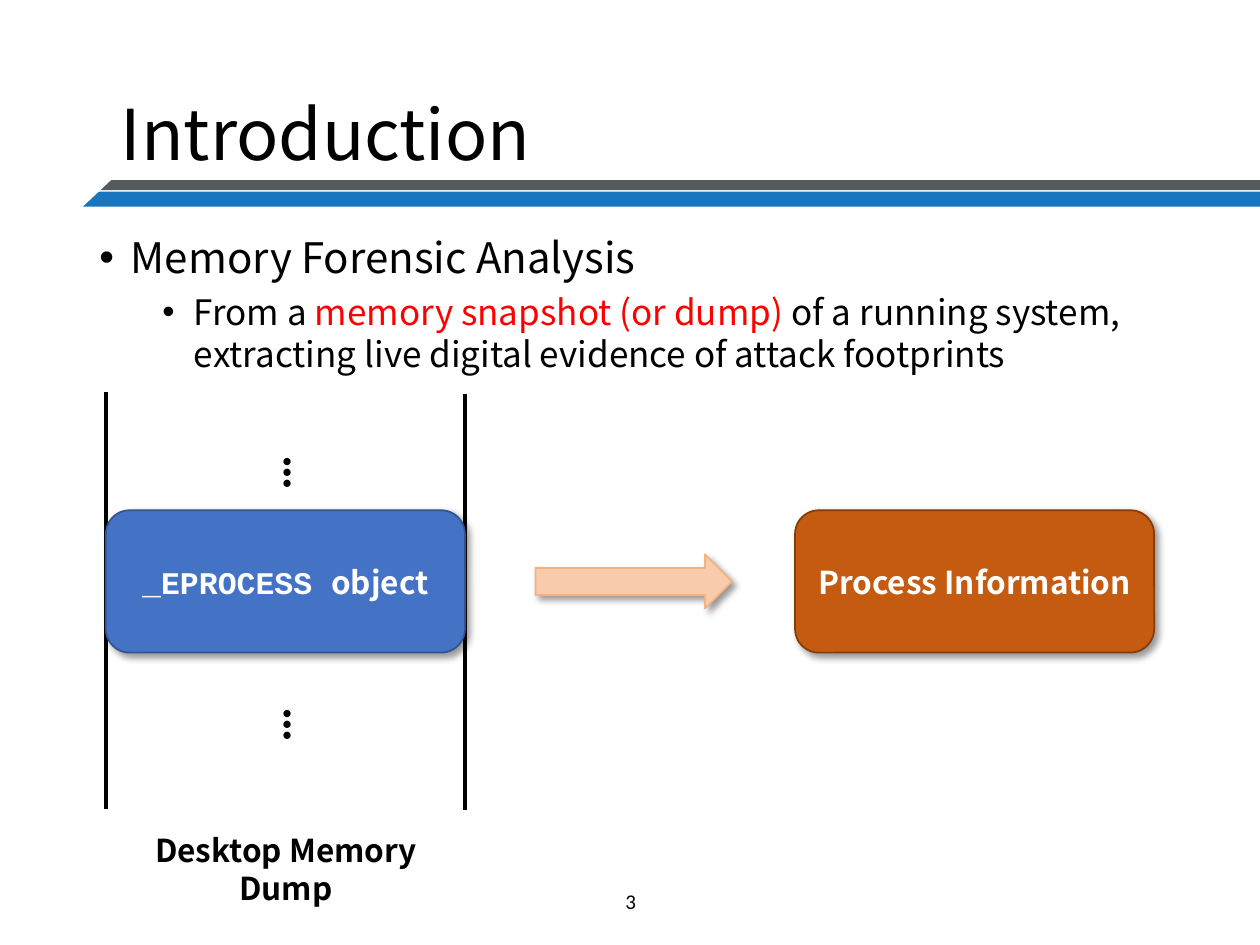
from dataclasses import dataclass
from typing import Optional

from lxml import etree
from pptx import Presentation
from pptx.dml.color import RGBColor
from pptx.enum.shapes import MSO_CONNECTOR, MSO_SHAPE
from pptx.enum.text import MSO_ANCHOR, PP_ALIGN
from pptx.oxml import parse_xml
from pptx.oxml.ns import nsdecls, qn
from pptx.util import Inches, Pt

RECT = MSO_SHAPE.RECTANGLE
ROUNDED = MSO_SHAPE.ROUNDED_RECTANGLE
ARROW = MSO_SHAPE.RIGHT_ARROW
STRAIGHT = MSO_CONNECTOR.STRAIGHT
TOP, MIDDLE, BOTTOM = MSO_ANCHOR.TOP, MSO_ANCHOR.MIDDLE, MSO_ANCHOR.BOTTOM
LEFT, CENTER = PP_ALIGN.LEFT, PP_ALIGN.CENTER

SANS, MONO, PLAIN = "Noto Sans CJK KR", "Courier New", "Calibri"
BLACK, WHITE, RED = "000000", "FFFFFF", "FF0000"
BOX_TOP, BOX_W, BOX_H = 4.05, 2.85, 1.13
MEMORY_X, INFO_X = 0.84, 6.31


@dataclass
class Run:
    text: str
    size: float
    font: str = SANS
    color: str = BLACK
    bold: bool = False


@dataclass
class Block:
    kind: int
    x: float
    y: float
    w: float
    h: float
    fill: str
    line: Optional[str] = None
    rotation: float = 0
    runs: tuple[Run, ...] = ()


@dataclass
class Label:
    x: float
    y: float
    w: float
    h: float
    run: Run
    align: int = CENTER
    anchor: int = MIDDLE
    spacing: float = 1.0
    vertical: bool = False


@dataclass
class Bullet:
    indent: float
    before: float
    runs: tuple[Run, ...]


BANNER = (
    Block(RECT, 0.16, 1.52, 9.84, 0.12, "1876C0"),
    Block(RECT, 0.16, 1.43, 9.84, 0.08, "565A5C"),
    Block(RECT, 0.32, 0.75, 0.56, 1.12, WHITE, rotation=46.8),
)
BULLETS = (
    Bullet(0.25, 10, (Run("Memory Forensic Analysis", 24),)),
    Bullet(0.75, 5, (
        Run("From a ", 20),
        Run("memory snapshot (or dump) ", 20, color=RED),
        Run("of a running system, extracting live digital evidence of attack footprints", 20),
    )),
)
LABELS = (
    Label(3.88, 6.95, 2.25, 0.4, Run("3", 12, PLAIN)),
    Label(0.86, 0.47, 8.62, 0.97, Run("Introduction", 40), LEFT, BOTTOM, 0.9),
    Label(0.93, 6.55, 2.68, 0.33, Run("Desktop Memory Dump", 18, bold=True), anchor=TOP),
    *(Label(2.13, y, 0.56, 0.33, Run("…", 28, PLAIN, bold=True), vertical=True)
      for y in (3.52, 5.52)),
)
FLOW = (
    Block(ROUNDED, MEMORY_X, BOX_TOP, BOX_W, BOX_H, "4472C4", "325491", runs=(
        Run("_EPROCESS ", 18, MONO, WHITE, True),
        Run("object", 18, SANS, WHITE, True),
    )),
    Block(ARROW, 4.25, 4.4, 1.56, 0.43, "F8CBAD", "F4B183"),
    Block(ROUNDED, INFO_X, BOX_TOP, BOX_W, BOX_H, "C55A11", "843C0B", runs=(
        Run("Process Information", 18, SANS, WHITE, True),
    )),
)


def rgb(value: str) -> RGBColor:
    return RGBColor.from_string(value)


def add_runs(p, runs: tuple[Run, ...]) -> None:
    for run in runs:
        r = p.add_run()
        r.text = run.text
        r.font.size = Pt(run.size)
        r.font.name = run.font
        r.font.bold = run.bold
        r.font.color.rgb = rgb(run.color)


def add_shadow(sp) -> None:
    effects = sp._element.spPr.find(qn("a:effectLst"))
    effects.append(parse_xml(
        f'<a:outerShdw {nsdecls("a")} blurRad="{Pt(4)}" dist="{Pt(3)}" dir="2700000" '
        'algn="tl" rotWithShape="0"><a:srgbClr val="000000">'
        '<a:alpha val="40000"/></a:srgbClr></a:outerShdw>'))


def add_block(s, block: Block) -> None:
    sp = s.shapes.add_shape(block.kind, Inches(block.x), Inches(block.y),
                            Inches(block.w), Inches(block.h))
    sp.rotation = block.rotation
    sp.shadow.inherit = False
    sp.fill.solid()
    sp.fill.fore_color.rgb = rgb(block.fill)
    if block.line:
        sp.line.color.rgb = rgb(block.line)
        sp.line.width = Pt(1)
        add_shadow(sp)
    else:
        sp.line.fill.background()
    if block.runs:
        tf = sp.text_frame
        tf.word_wrap = True
        tf.vertical_anchor = MIDDLE
        tf.paragraphs[0].alignment = CENTER
        add_runs(tf.paragraphs[0], block.runs)


def add_text_frame(s, x: float, y: float, w: float, h: float):
    tf = s.shapes.add_textbox(Inches(x), Inches(y), Inches(w), Inches(h)).text_frame
    tf.word_wrap = True
    return tf


def add_label(s, label: Label) -> None:
    tf = add_text_frame(s, label.x, label.y, label.w, label.h)
    tf.vertical_anchor = label.anchor
    if label.vertical:
        tf._txBody.bodyPr.set("vert", "eaVert")
    p = tf.paragraphs[0]
    p.alignment = label.align
    p.line_spacing = label.spacing
    add_runs(p, (label.run,))


def add_bullets(s, bullets: tuple[Bullet, ...]) -> None:
    tf = add_text_frame(s, 0.69, 1.79, 8.62, 4.76)
    for level, bullet in enumerate(bullets):
        p = tf.add_paragraph() if level else tf.paragraphs[0]
        p.level = level
        p.space_before = Pt(bullet.before)
        pPr = p._p.get_or_add_pPr()
        pPr.set("marL", str(Inches(bullet.indent)))
        pPr.set("indent", str(Inches(-0.25)))
        etree.SubElement(pPr, qn("a:buFont")).set("typeface", "Arial")
        etree.SubElement(pPr, qn("a:buChar")).set("char", "•")
        add_runs(p, bullet.runs)


def add_wall(s, x: float, top: float, bottom: float) -> None:
    line = s.shapes.add_connector(STRAIGHT, Inches(x), Inches(top), Inches(x), Inches(bottom))
    line.line.color.rgb = rgb(BLACK)
    line.line.width = Pt(2.25)
    etree.SubElement(line._element.spPr, qn("a:effectLst"))


def main() -> None:
    prs = Presentation()
    prs.slide_width, prs.slide_height = Inches(10), Inches(7.5)
    s = prs.slides.add_slide(prs.slide_layouts[6])
    for block in BANNER:
        add_block(s, block)
    add_bullets(s, BULLETS)
    for label in LABELS:
        add_label(s, label)
    add_wall(s, MEMORY_X, 3.11, 6.42)
    add_wall(s, MEMORY_X + BOX_W, 3.13, 6.43)
    for block in FLOW:
        add_block(s, block)
    prs.save("out.pptx")


if __name__ == "__main__":
    main()
